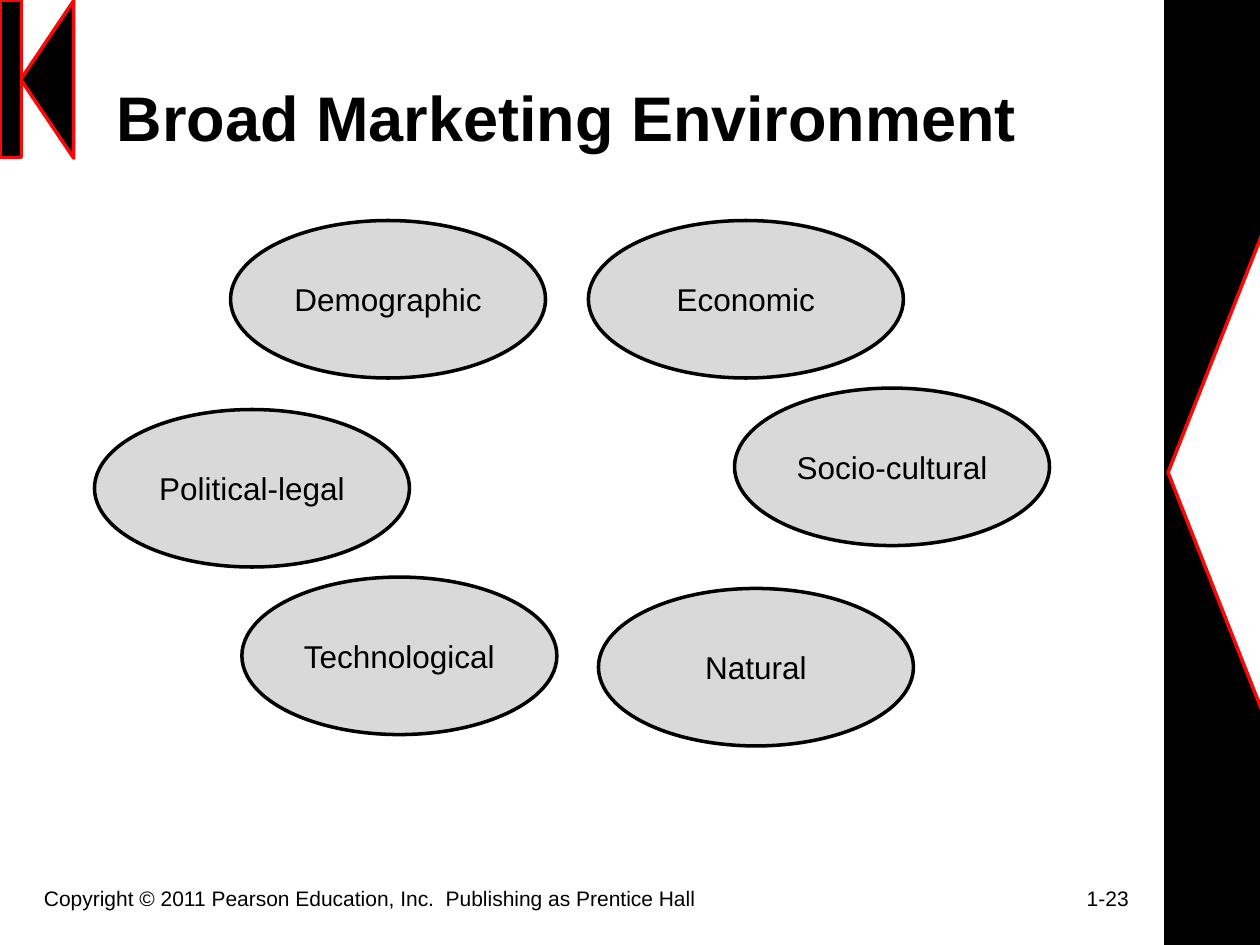
from lxml.etree import SubElement
from pptx import Presentation
from pptx.dml.color import RGBColor
from pptx.enum.shapes import MSO_SHAPE as SHAPE
from pptx.enum.text import MSO_ANCHOR as ANCHOR, PP_ALIGN as ALIGN
from pptx.oxml.ns import qn
from pptx.util import Inches, Pt


class Theme:
    font = "Arial"
    black = RGBColor.from_string("000000")
    white = RGBColor.from_string("FFFFFF")
    red = RGBColor.from_string("FF0505")
    grey = RGBColor.from_string("D9D9D9")
    title, label, footer = Pt(36), Pt(18), Pt(12)
    line = Pt(2)


def write(sp, text, size=Theme.label, bold=False, align=ALIGN.LEFT,
          anchor=ANCHOR.MIDDLE, right_tab=None):
    tf = sp.text_frame
    tf.word_wrap = True
    tf.vertical_anchor = anchor
    p = tf.paragraphs[0]
    p.alignment = align
    if right_tab is not None:
        tabs = SubElement(p._p.get_or_add_pPr(), qn("a:tabLst"))
        SubElement(tabs, qn("a:tab"), pos=str(right_tab), algn="r")
    r = p.add_run()
    r.text = text
    r.font.name = Theme.font
    r.font.size = size
    r.font.bold = bold
    r.font.color.rgb = Theme.black


def add_shape(kind, x, y, w, h, fill, line, rotation=0):
    sp = s.shapes.add_shape(kind, Inches(x), Inches(y), Inches(w), Inches(h))
    sp.shadow.inherit = False
    sp.rotation = rotation
    sp.fill.solid()
    sp.fill.fore_color.rgb = fill
    sp.line.color.rgb = line
    sp.line.width = Theme.line
    return sp


prs = Presentation()
prs.slide_width, prs.slide_height = Inches(10), Inches(7.5)
s = prs.slides.add_slide(prs.slide_layouts[6])

# Right band with its notch, and the corner mark
add_shape(SHAPE.RECTANGLE, 9.25, 0, 0.75, 7.5, Theme.black, Theme.black)
add_shape(SHAPE.ISOSCELES_TRIANGLE, 6.26, 3.01, 7.5, 1.48, Theme.white, Theme.red, 270)
add_shape(SHAPE.ISOSCELES_TRIANGLE, -0.25, 0.42, 1.25, 0.42, Theme.black, Theme.red, 270)
add_shape(SHAPE.RECTANGLE, 0, 0, 0.17, 1.25, Theme.black, Theme.red)

# Title
title = s.shapes.add_textbox(Inches(0.83), Inches(0.3), Inches(8.42), Inches(1.25))
write(title, "Broad Marketing Environment", size=Theme.title, bold=True)

# Footer: copyright on the left, page number at a right tab
footer = s.shapes.add_textbox(Inches(0.25), Inches(6.98), Inches(9.42), Inches(0.52))
write(footer, "Copyright © 2011 Pearson Education, Inc.  Publishing as Prentice Hall\t1-23",
      size=Theme.footer, anchor=ANCHOR.TOP, right_tab=Inches(8.61))

# Ring of environment forces, clockwise
forces = [
    ("Demographic", 1.83, 1.75),
    ("Economic", 4.67, 1.75),
    ("Socio-cultural", 5.83, 3.08),
    ("Natural", 4.75, 4.67),
    ("Technological", 1.92, 4.58),
    ("Political-legal", 0.75, 3.25),
]
for name, x, y in forces:
    oval = add_shape(SHAPE.OVAL, x, y, 2.5, 1.25, Theme.grey, Theme.black)
    write(oval, name, align=ALIGN.CENTER)

prs.save("out.pptx")
